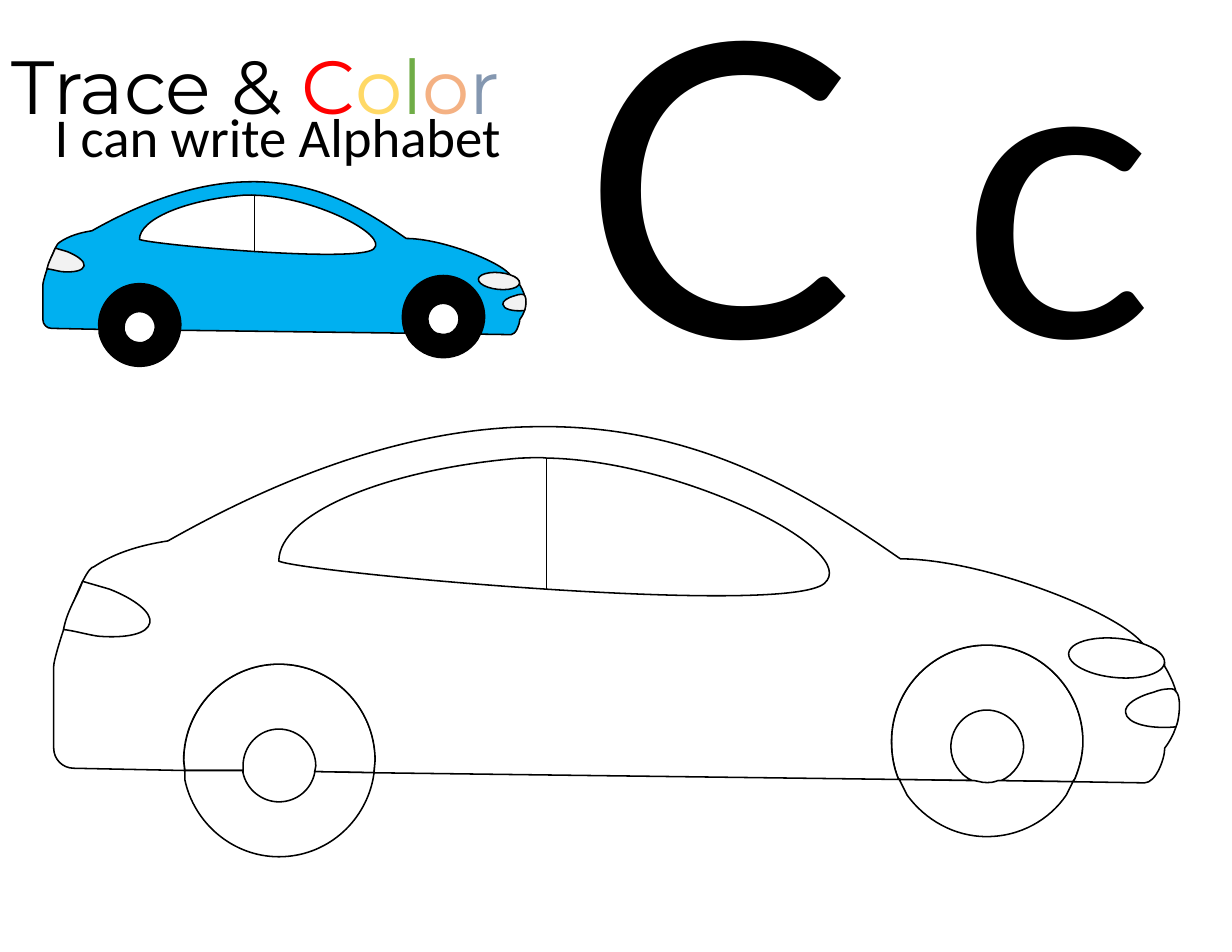
import math
from dataclasses import dataclass

from lxml import etree
from pptx import Presentation
from pptx import util as u
from pptx.dml.color import RGBColor
from pptx.enum import shapes, text
from pptx.oxml import ns


@dataclass(frozen=True)
class Theme:
    ink: str = "000000"
    white: str = "FFFFFF"
    paint: str = "00B0F0"
    lamp: str = "F2F2F2"
    color_letters: tuple = ("FF0000", "FFD966", "70AD47", "F4B183", "8497B0")
    title_size: float = 48.4
    letter_size: float = 262.9
    subtitle_size: float = 35.2
    outline: float = 1
    pillar: float = 0.5


theme = Theme()


def write_text(box, runs, *, font, size, left, top, width, height):
    box.left, box.top, box.width, box.height = (u.Cm(v) for v in (left, top, width, height))
    frame = box.text_frame
    frame.word_wrap = True
    frame.auto_size = text.MSO_AUTO_SIZE.SHAPE_TO_FIT_TEXT
    frame.vertical_anchor = text.MSO_ANCHOR.TOP
    paragraph = frame.paragraphs[0]
    paragraph.alignment = text.PP_ALIGN.LEFT
    for words, color in runs:
        run = paragraph.add_run()
        run.text = words
        run.font.name = font
        run.font.size = u.Pt(size)
        run.font.color.rgb = RGBColor.from_string(color)


def draw_outline(canvas, contours, place):
    points = [[place(*segment[i:i + 2]) for segment in contour for i in range(0, len(segment), 2)]
              for contour in contours]
    builder = canvas.build_freeform(*points[0][0])
    for number, contour_points in enumerate(points):
        if number:
            builder.move_to(*contour_points[0])
        builder.add_line_segments(contour_points[1:], close=True)
    outline = builder.convert_to_shape()
    route = outline.element.find(".//" + ns.qn("a:path"))
    lines = iter(route.findall(ns.qn("a:lnTo")))
    for contour in contours:
        for segment in contour[1:]:
            group = [next(lines) for _ in range(len(segment) // 2)]
            if len(group) == 3:
                curve = etree.SubElement(route, ns.qn("a:cubicBezTo"))
                group[0].addprevious(curve)
                for line in group:
                    curve.append(line[0])
                    route.remove(line)
    return outline


prs = Presentation()
prs.slide_width, prs.slide_height = u.Cm(27.94), u.Cm(21.59)
slide = prs.slides.add_slide(prs.slide_layouts[5])

write_text(slide.shapes.title, [("Trace & ", theme.ink), *zip("Color", theme.color_letters)],
           font="Montserrat", size=theme.title_size, left=0, top=0.76, width=14, height=2.34)
write_text(slide.shapes.add_textbox(0, 0, 0, 0), [(" C c", theme.ink)],
           font="Lato", size=theme.letter_size, left=10.57, top=-1.75, width=16.76, height=11.51)
write_text(slide.shapes.add_textbox(0, 0, 0, 0), [("I can write Alphabet", theme.ink)],
           font="Calibri", size=theme.subtitle_size, left=0.99, top=2.21, width=11, height=1.75)

rear_arch = [(1.65, 6.88), (1.64, 6.79), (1.64, 6.32, 2.02, 5.93, 2.49, 5.93),
             (2.97, 5.93, 3.35, 6.32, 3.35, 6.79), (3.34, 6.9)]
front_arch = [(8.03, 6.96), (8.02, 6.95), (7.98, 6.85, 7.96, 6.74, 7.96, 6.62),
              (7.96, 6.15, 8.34, 5.76, 8.81, 5.76), (9.28, 5.76, 9.67, 6.15, 9.67, 6.62),
              (9.67, 6.74, 9.64, 6.85, 9.6, 6.95), (9.58, 6.98)]
rear_tyre_top = rear_arch + [
    (2.81, 6.89), (2.82, 6.84), (2.82, 6.66, 2.67, 6.51, 2.49, 6.51),
    (2.31, 6.51, 2.17, 6.66, 2.17, 6.84), (2.17, 6.88)]
front_tyre_top = front_arch + [
    (8.91, 6.97), (8.94, 6.97), (9.05, 6.92, 9.14, 6.8, 9.14, 6.67),
    (9.14, 6.49, 8.99, 6.34, 8.81, 6.34), (8.63, 6.34, 8.49, 6.49, 8.49, 6.67),
    (8.49, 6.8, 8.57, 6.92, 8.68, 6.97), (8.7, 6.97)]
rear_tyre_bottom = [
    (1.65, 6.88), (1.65, 6.96), (1.73, 7.35, 2.08, 7.65, 2.49, 7.65),
    (2.91, 7.65, 3.25, 7.35, 3.33, 6.96), (3.34, 6.9), (2.81, 6.89), (2.81, 6.9),
    (2.78, 7.05, 2.65, 7.16, 2.49, 7.16), (2.34, 7.16, 2.2, 7.05, 2.17, 6.9), (2.17, 6.88)]
front_tyre_bottom = [
    (8.03, 6.96), (8.1, 7.1), (8.26, 7.32, 8.52, 7.47, 8.81, 7.47),
    (9.11, 7.47, 9.37, 7.32, 9.52, 7.1), (9.58, 6.98), (8.91, 6.97), (8.88, 6.98),
    (8.86, 6.99, 8.77, 6.99, 8.75, 6.98), (8.7, 6.97)]
body = [
    (4.77, 3.81), (3.87, 3.82, 2.79, 4.1, 1.5, 4.83), (1.24, 4.87, 1.02, 4.94, 0.84, 5.06),
    (0.74, 5.06, 0.48, 5.85, 0.48, 5.95), (0.48, 6.68), (0.48, 6.78, 0.56, 6.86, 0.66, 6.86),
    *rear_arch, *front_arch,
    (10.22, 6.99), (10.32, 6.99, 10.4, 6.78, 10.4, 6.68), (10.58, 6.44, 10.55, 6.2, 10.4, 5.95),
    (10.4, 5.85, 10.32, 5.77, 10.22, 5.77), (10.05, 5.49, 8.79, 4.99, 8.04, 4.99),
    (7.3, 4.48, 6.28, 3.78, 4.77, 3.81)]
window = [
    (4.88, 4.09), (6.09, 4.11, 7.7, 4.92, 7.36, 5.21), (7, 5.51, 2.7, 5.11, 2.49, 5.01),
    (2.49, 4.59, 3.43, 4.19, 4.65, 4.09), (4.72, 4.09, 4.8, 4.08, 4.88, 4.09)]
tail_lamp = [
    (0.74, 5.19), (0.69, 5.33, 0.6, 5.45, 0.57, 5.62), (0.66, 5.63, 0.8, 5.67, 0.88, 5.68),
    (1.13, 5.7, 1.32, 5.66, 1.34, 5.56), (1.36, 5.47, 1.21, 5.35, 0.98, 5.26)]
fog_lamp = [
    (10.3, 6.18), (10.15, 6.22, 10.04, 6.29, 10.05, 6.36), (10.06, 6.46, 10.26, 6.51, 10.49, 6.49),
    (10.5, 6.49), (10.53, 6.43, 10.57, 6.14, 10.45, 6.15), (10.39, 6.15, 10.35, 6.16, 10.3, 6.18)]
headlamp = (9.54, 5.7, 0.86, 0.35)

parts = [
    ("tyre", [front_tyre_top], 0, (0, 0)),
    ("tyre", [rear_tyre_top], 0, (0, 0)),
    ("body", [body, window], 0, (0, 0)),
    ("tyre", [rear_tyre_bottom], 0, (0, 0)),
    ("tyre", [front_tyre_bottom], 0, (0, 0)),
    ("lamp", [tail_lamp], 13.4, (0.98, 5.49)),
    ("lamp", None, 5.6, (0, 0)),
    ("lamp", [fog_lamp], 355.6, (10.3, 6.33)),
]
cars = [
    (0, 0, 2.54, {"tyre": theme.white, "body": theme.white, "lamp": theme.white}),
    (0.45, -0.03, 1.09, {"tyre": theme.ink, "body": theme.paint, "lamp": theme.lamp}),
]

for left, top, unit, fills in cars:
    car = slide.shapes.add_group_shape().shapes
    pillar_x = u.Cm(left + 4.88 * unit)
    pillar = car.add_connector(shapes.MSO_CONNECTOR.STRAIGHT, pillar_x, u.Cm(top + 4.09 * unit),
                               pillar_x, u.Cm(top + 6.09 * unit))
    pillar.line.color.rgb = RGBColor.from_string(theme.ink)
    pillar.line.width = u.Pt(theme.pillar)
    etree.SubElement(pillar.element.spPr, ns.qn("a:effectLst"))

    for role, contours, angle, (pivot_x, pivot_y) in parts:
        if contours is None:
            x, y, width, height = headlamp
            part = car.add_shape(shapes.MSO_SHAPE.OVAL, u.Cm(left + x * unit), u.Cm(top + y * unit),
                                 u.Cm(width * unit), u.Cm(height * unit))
        else:
            cos, sin = math.cos(math.radians(angle)), math.sin(math.radians(angle))
            part = draw_outline(car, contours, lambda x, y: (
                u.Cm(left + unit * (pivot_x + (x - pivot_x) * cos + (y - pivot_y) * sin)),
                u.Cm(top + unit * (pivot_y - (x - pivot_x) * sin + (y - pivot_y) * cos))))
        part.rotation = angle
        part.shadow.inherit = False
        part.fill.solid()
        part.fill.fore_color.rgb = RGBColor.from_string(fills[role])
        part.line.color.rgb = RGBColor.from_string(theme.ink)
        part.line.width = u.Pt(theme.outline)

prs.save("out.pptx")
